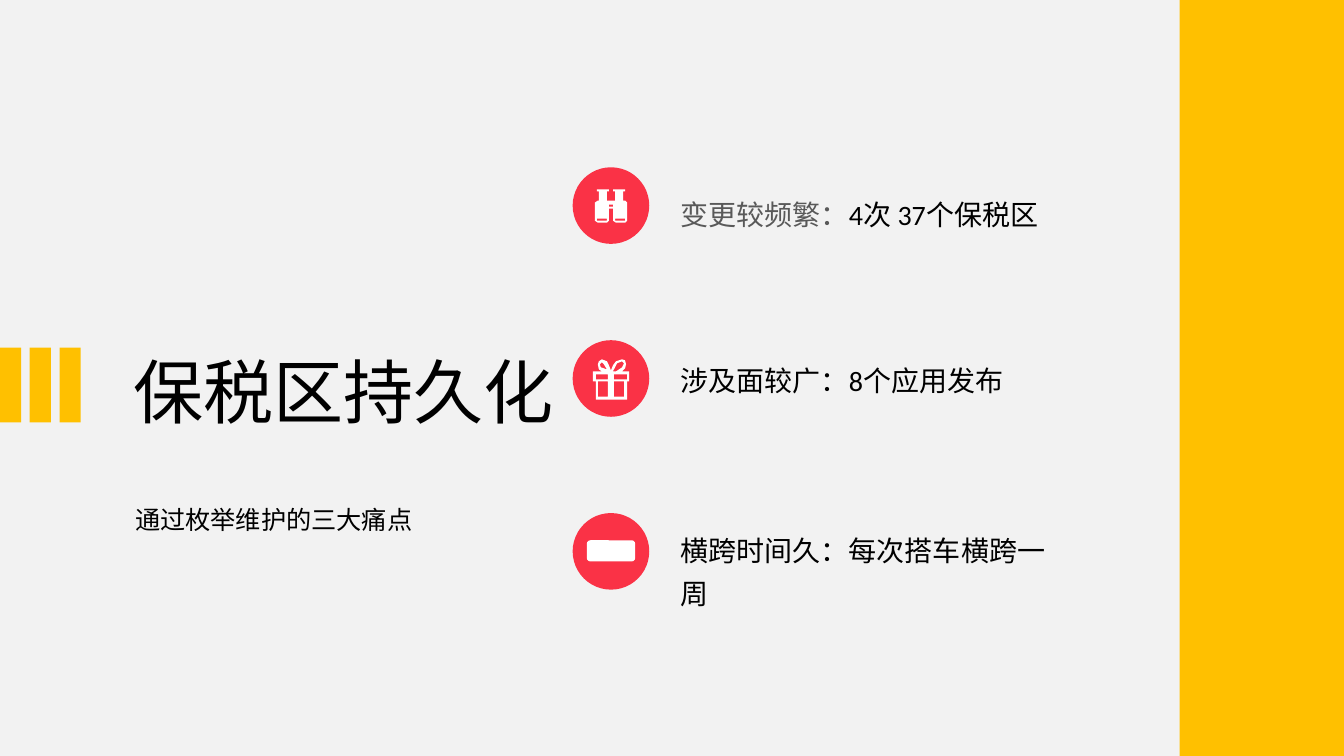
import pptx
import pptx.util
import pptx.dml.color
import pptx.enum.lang
import pptx.enum.shapes
import pptx.enum.text
from dataclasses import dataclass

Inches = pptx.util.Inches
SHAPE = pptx.enum.shapes.MSO_SHAPE
ANCHOR = pptx.enum.text.MSO_ANCHOR


@dataclass(frozen=True)
class Theme:
    paper: str = "F2F2F2"
    yellow: str = "FFC000"
    red: str = "FA3246"
    white: str = "FFFFFF"
    ink: str = "000000"
    grey: str = "595959"
    cjk: str = "Noto Sans CJK SC"
    latin: str = "Calibri"
    title: int = 50
    subtitle: int = 18
    row: int = 20


def box(x1, y1, x2, y2):
    return [(x1, y1), (x2, y1), (x2, y2), (x1, y2)]


T = Theme()
TITLE = "保税区持久化"
SUBTITLE = "通过枚举维护的三大痛点"

BINOCULARS = [
    box(24, 22, 36, 24),
    box(40, 22, 52, 24),
    [(52, 33), (50, 33), (50, 24), (42, 24), (42, 33), (34, 33), (34, 24), (26, 24),
     (26, 33), (25, 33), (22, 35), (22, 53), (25, 55), (34, 55), (36, 53), (36, 41),
     (40, 41), (40, 53), (43, 55), (52, 55), (54, 53), (54, 35)],
    box(24, 51, 34, 53),
    box(42, 51, 52, 53),
    box(36, 37, 40, 39),
]
GIFT = [
    [(49, 31), (52, 28), (53, 24), (52, 20), (49, 19), (43, 21), (40, 25), (38, 30),
     (36, 25), (34, 21), (29, 19), (26, 21), (25, 24), (26, 29), (29, 31), (20, 31),
     (20, 41), (23, 41), (23, 59), (54, 59), (54, 41), (56, 41), (56, 31)],
    [(44, 23), (49, 21), (51, 23), (49, 27), (43, 31), (40, 31)],
    [(27, 24), (29, 22), (31, 24), (34, 29), (28, 27)],
    box(25, 41, 35, 56),
    box(23, 34, 35, 39),
    box(41, 41, 51, 56),
    box(41, 34, 54, 39),
]
ROWS = [
    (1.86, BINOCULARS, [("变更较频繁：", T.cjk, T.grey), ("4次 37个保税区", T.latin, T.ink)]),
    (3.51, GIFT, [("涉及面较广：8个应用发布", T.latin, T.ink)]),
    (5.19, None, [("横跨时间久：每次搭车横跨一周", T.latin, T.ink)]),
]
DISC_LEFT, DISC_TOP, DISC_SIZE, DISC_PITCH = 5.68, 1.66, 0.76, 1.715
BAR_WIDTH, BAR_PITCH, BAR_COUNT = 0.21, 0.295, 3


def rgb(code):
    return pptx.dml.color.RGBColor.from_string(code)


def paint(sp, color):
    sp.shadow.inherit = False
    sp.fill.solid()
    sp.fill.fore_color.rgb = rgb(color)
    sp.line.fill.background()


def add_filled(s, kind, at, color):
    sp = s.shapes.add_shape(kind, *map(Inches, at))
    paint(sp, color)
    return sp


def add_icon(s, contours, left, top):
    builder = None
    for contour in contours:
        if builder is None:
            builder = s.shapes.build_freeform(*contour[0], scale=Inches(0.01))
        else:
            builder.move_to(*contour[0])
        builder.add_line_segments(contour[1:], close=True)
    paint(builder.convert_to_shape(Inches(left), Inches(top)), T.white)


def write(sp, at, runs, size, east_asian, frame=None, paragraph=None):
    sp.left, sp.top, sp.width, sp.height = map(Inches, at)
    tf = sp.text_frame
    defaults = {"word_wrap": True, "auto_size": pptx.enum.text.MSO_AUTO_SIZE.NONE,
                "vertical_anchor": ANCHOR.TOP}
    for name, value in {**defaults, **(frame or {})}.items():
        setattr(tf, name, value)
    p = tf.paragraphs[0]
    defaults = {"alignment": pptx.enum.text.PP_ALIGN.LEFT, "space_before": pptx.util.Pt(0)}
    for name, value in {**defaults, **(paragraph or {})}.items():
        setattr(p, name, value)
    for text, font, color in runs:
        r = p.add_run()
        r.text = text
        style = {"name": font, "size": pptx.util.Pt(size), "bold": False,
                 "language_id": pptx.enum.lang.MSO_LANGUAGE_ID.SIMPLIFIED_CHINESE}
        for name, value in style.items():
            setattr(r.font, name, value)
        r.font.color.rgb = rgb(color)
        ea = pptx.oxml.parse_xml(
            '<a:ea xmlns:a="http://schemas.openxmlformats.org/drawingml/2006/main" '
            f'typeface="{east_asian}"/>')
        r.font._element.find(pptx.oxml.ns.qn("a:latin")).addnext(ea)


def main():
    prs = pptx.Presentation()
    prs.slide_width, prs.slide_height = Inches(13.33), Inches(7.5)
    s = prs.slides.add_slide(prs.slide_layouts[0])
    s.background.fill.solid()
    s.background.fill.fore_color.rgb = rgb(T.paper)

    write(s.shapes.title, (1.22, 3.42, 4.62, 0.92), [(TITLE, T.cjk, T.ink)], T.title, T.cjk,
          {"vertical_anchor": ANCHOR.BOTTOM},
          {"line_spacing": 0.8, "space_after": pptx.util.Pt(6)})
    write(s.placeholders[1], (1.24, 4.95, 4.44, 0.71), [(SUBTITLE, T.cjk, T.ink)],
          T.subtitle, T.cjk)

    for i in range(BAR_COUNT):
        add_filled(s, SHAPE.RECTANGLE, (i * BAR_PITCH, 3.45, BAR_WIDTH, 0.74), T.yellow)
    add_filled(s, SHAPE.RECTANGLE, (11.7, 0, 1.63, 7.5), T.yellow)

    margins = dict.fromkeys(("margin_left", "margin_top", "margin_right", "margin_bottom"), 0)
    for i, (text_top, icon, runs) in enumerate(ROWS):
        top = DISC_TOP + i * DISC_PITCH
        add_filled(s, SHAPE.OVAL, (DISC_LEFT, top, DISC_SIZE, DISC_SIZE), T.red)
        if icon:
            add_icon(s, icon, DISC_LEFT, top)
        else:
            add_filled(s, SHAPE.ROUNDED_RECTANGLE,
                       (DISC_LEFT + 0.14, top + 0.27, 0.48, 0.21), T.white)
        write(s.shapes.add_textbox(0, 0, 0, 0), (6.75, text_top, 3.73, 0.47), runs,
              T.row, T.latin, margins, {"line_spacing": 1.3})

    prs.save("out.pptx")


if __name__ == "__main__":
    main()
